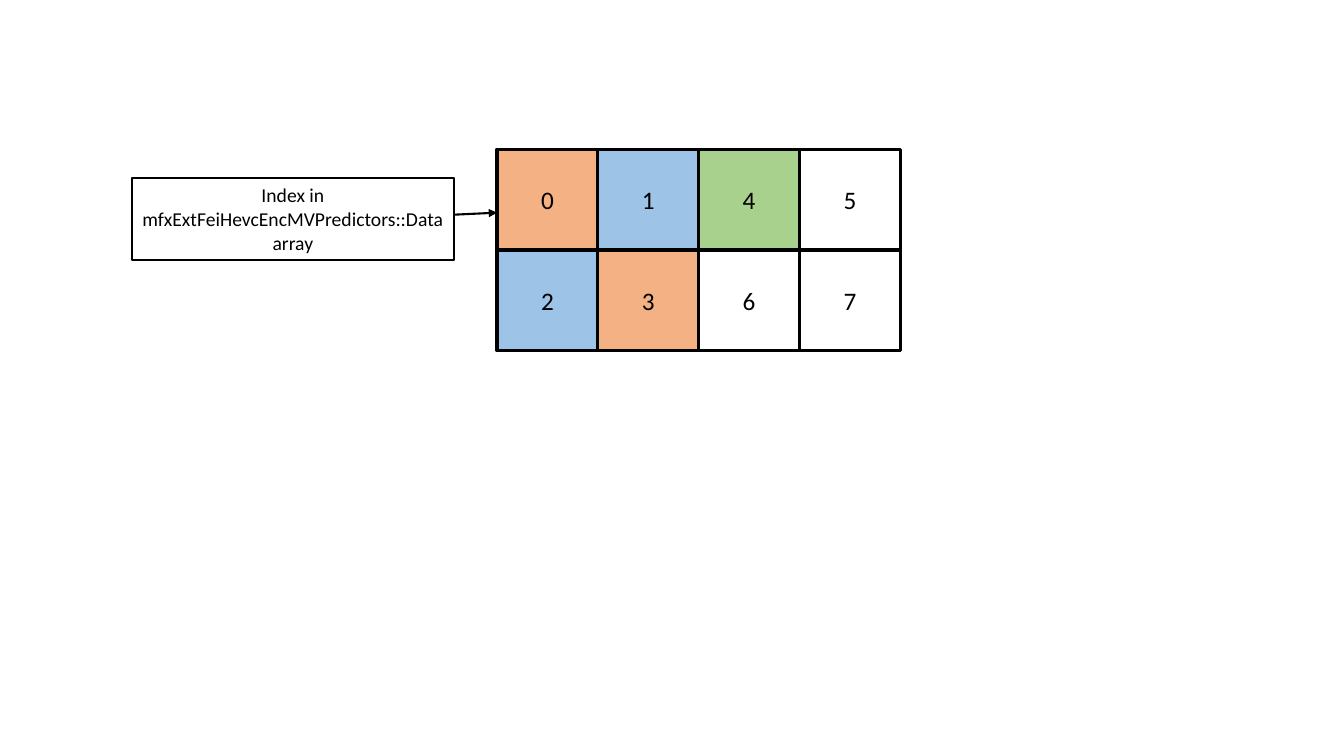
from pptx import Presentation
from pptx import util as u
from pptx.dml import color
from pptx.enum import shapes, text
from pptx.oxml import ns
from lxml import etree

COLOURS = {
    "ink": "000000",
    "orange": "F4B183",
    "blue": "9DC3E6",
    "green": "A9D18E",
}
FONT = "Calibri"

# Block grid: index and fill of each cell, row by row
GRID_LEFT, GRID_TOP, CELL = 4.93, 1.48, 1
BLOCKS = [
    [("0", "orange"), ("1", "blue"), ("4", "green"), ("5", None)],
    [("2", "blue"), ("3", "orange"), ("6", None), ("7", None)],
]
LABEL = "Index in mfxExtFeiHevcEncMVPredictors::Data array"
LABEL_AREA = (1.31, 1.77, 3.19, 0.81)


def rgb(name):
    return color.RGBColor.from_string(COLOURS[name])


def set_line(item, width):
    item.line.color.rgb = rgb("ink")
    item.line.width = u.Pt(width)


def set_text(box, words, size):
    frame = box.text_frame
    frame.word_wrap = True
    frame.text = words
    para = frame.paragraphs[0]
    para.alignment = text.PP_ALIGN.CENTER
    font = para.runs[0].font
    font.name, font.size = FONT, u.Pt(size)
    font.color.rgb = rgb("ink")


def add_block(page, row, column, index, fill):
    block = page.shapes.add_shape(
        shapes.MSO_SHAPE.FLOWCHART_PROCESS,
        u.Inches(GRID_LEFT + column * CELL), u.Inches(GRID_TOP + row * CELL),
        u.Inches(CELL), u.Inches(CELL))
    block.shadow.inherit = False
    if fill:
        block.fill.solid()
        block.fill.fore_color.rgb = rgb(fill)
    else:
        block.fill.background()
    set_line(block, 2.25)
    set_text(block, index, 18)
    block.text_frame.vertical_anchor = text.MSO_ANCHOR.MIDDLE


def add_arrow(page, start, end):
    arrow = page.shapes.add_connector(
        shapes.MSO_CONNECTOR.STRAIGHT, *map(u.Inches, start + end))
    set_line(arrow, 1.5)
    etree.SubElement(arrow.line._get_or_add_ln(), ns.qn("a:tailEnd"), type="triangle")
    etree.SubElement(arrow._element.spPr, ns.qn("a:effectLst"))


def add_label(page, words, area):
    label = page.shapes.add_textbox(*map(u.Inches, area))
    set_line(label, 1.5)
    set_text(label, words, 14)
    label.text_frame.auto_size = text.MSO_AUTO_SIZE.SHAPE_TO_FIT_TEXT


def main():
    deck = Presentation()
    deck.slide_width, deck.slide_height = u.Inches(13.33), u.Inches(7.5)
    page = deck.slides.add_slide(deck.slide_layouts[6])

    # Indexed blocks
    for row, blocks in enumerate(BLOCKS):
        for column, (index, fill) in enumerate(blocks):
            add_block(page, row, column, index, fill)

    # Label pointing at the first block
    left, _, width, _ = LABEL_AREA
    add_arrow(page, (left + width, 2.13), (GRID_LEFT, 2.11))
    add_label(page, LABEL, LABEL_AREA)

    deck.save("out.pptx")


main()
